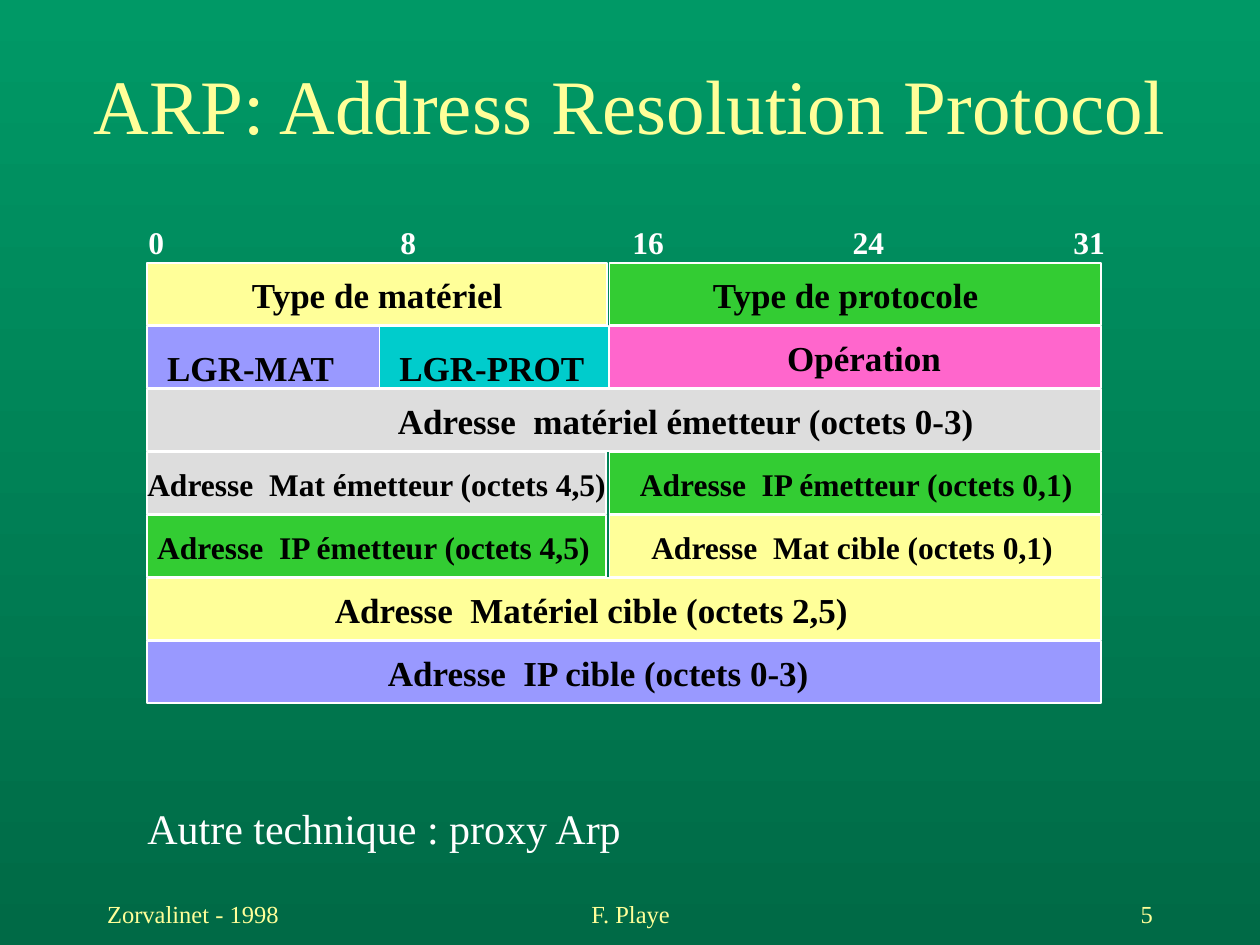
"""Build the ARP packet format slide."""
from pptx import Presentation
from pptx.dml.color import RGBColor
from pptx.enum.shapes import MSO_SHAPE
from pptx.enum.text import MSO_ANCHOR, MSO_AUTO_SIZE, PP_ALIGN
from pptx.util import Cm, Pt

FONT = "Times New Roman"
WHITE = RGBColor(0xFF, 0xFF, 0xFF)
BLACK = RGBColor(0x00, 0x00, 0x00)
YELLOW = RGBColor(0xFF, 0xFF, 0x99)
GREEN = RGBColor(0x33, 0xCC, 0x33)
PINK = RGBColor(0xFF, 0x66, 0xCC)
VIOLET = RGBColor(0x99, 0x99, 0xFF)
CYAN = RGBColor(0x00, 0xCC, 0xCC)
GREY = RGBColor(0xDD, 0xDD, 0xDD)
BG_TOP = RGBColor(0x00, 0x99, 0x66)
BG_BOTTOM = RGBColor(0x00, 0x6A, 0x46)

LEFT, MIDDLE = 2.97, 12.29
FULL, RIGHT_HALF = 19.23, 9.91
TOP, PITCH, HEIGHT = 5.31, 1.27, 1.24
LABEL_HEIGHT = {18: 1.02, 20: 1.09}

ROWS = [
    [(MIDDLE, RIGHT_HALF, GREEN, "Type de protocole", 20, 14.12, 5.94, 0.08),
     (LEFT, 9.27, YELLOW, "Type de matériel", 20, 4.83, 5.61, 0.08)],
    [(MIDDLE, RIGHT_HALF, PINK, "Opération", 20, 15.62, 4.67, 0.08),
     (LEFT, 4.83, VIOLET, "LGR-MAT", 20, 3.12, 4.67, 0.28),
     (7.65, 4.62, CYAN, "LGR-PROT", 20, 7.8, 4.67, 0.28)],
    [(LEFT, FULL, GREY, "Adresse  matériel émetteur (octets 0-3)", 20, 7.77, 12.14, 0.08)],
    [(MIDDLE, RIGHT_HALF, GREEN, "Adresse  IP émetteur (octets 0,1)", 18, 12.65, 9.3, 0.13),
     (LEFT, 9.25, GREY, "Adresse  Mat émetteur (octets 4,5)", 18, 2.72, 9.78, 0.13)],
    [(MIDDLE, RIGHT_HALF, YELLOW, "Adresse  Mat cible (octets 0,1)", 18, 12.88, 8.64, 0.13),
     (LEFT, 9.25, GREEN, "Adresse  IP émetteur (octets 4,5)", 18, 2.92, 9.3, 0.13)],
    [(LEFT, FULL, YELLOW, "Adresse  Matériel cible (octets 2,5)", 20, 6.5, 10.87, 0.08)],
    [(LEFT, FULL, VIOLET, "Adresse  IP cible (octets 0-3)", 20, 7.57, 9.04, 0.08)],
]
BITS = [("0", 2.74, 0.84), ("8", 7.82, 0.84), ("16", 12.5, 1.14),
        ("24", 16.94, 1.14), ("31", 21.39, 1.14)]
FOOTERS = [("Zorvalinet - 1998", 1.91, 5.28, PP_ALIGN.LEFT),
           ("F. Playe", 8.69, 8.05, PP_ALIGN.CENTER),
           ("5", 18.21, 5.28, PP_ALIGN.RIGHT)]


def set_background(s):
    """Fill the slide with a vertical green gradient."""
    fill = s.background.fill
    fill.gradient()
    fill.gradient_angle = 270
    for stop, position, color in zip(fill.gradient_stops, (0, 1), (BG_TOP, BG_BOTTOM)):
        stop.position = position
        stop.color.rgb = color


def write(tf, text, size, color, bold=False, align=PP_ALIGN.LEFT):
    """Set the text of a frame and format its run."""
    tf.text = text
    p = tf.paragraphs[0]
    p.alignment = align
    font = p.runs[0].font
    font.name, font.size, font.bold = FONT, Pt(size), bold
    font.color.rgb = color


def add_title(s, text):
    """Place and format the title placeholder."""
    title = s.shapes.title
    title.left, title.top, title.width, title.height = Cm(0), Cm(1.22), Cm(25.4), Cm(1.75)
    tf = title.text_frame
    tf.vertical_anchor = MSO_ANCHOR.MIDDLE
    tf.auto_size = MSO_AUTO_SIZE.NONE
    write(tf, text, 44, YELLOW, align=PP_ALIGN.CENTER)


def add_text(s, text, left, top, width, height, size, color, wrap=False, **style):
    """Add a text box and return its frame."""
    tf = s.shapes.add_textbox(Cm(left), Cm(top), Cm(width), Cm(height)).text_frame
    tf.word_wrap = wrap
    write(tf, text, size, color, **style)
    return tf


def add_field(s, row, left, width, fill, text, size, label_left, label_width, drop):
    """Add one packet field with its label."""
    top = TOP + row * PITCH
    sp = s.shapes.add_shape(MSO_SHAPE.RECTANGLE, Cm(left), Cm(top), Cm(width), Cm(HEIGHT))
    sp.shadow.inherit = False
    sp.fill.solid()
    sp.fill.fore_color.rgb = fill
    sp.line.color.rgb = WHITE
    sp.line.width = Pt(1)
    add_text(s, text, label_left, top + drop, label_width, LABEL_HEIGHT[size],
             size, BLACK, wrap=" " not in text, bold=True)


def add_footer(s, text, left, width, align):
    """Add one footer item."""
    tf = add_text(s, text, left, 17.78, width, 1.27, 14, YELLOW, wrap=True, align=align)
    tf.vertical_anchor = MSO_ANCHOR.MIDDLE


def main():
    """Build and save the slide."""
    prs = Presentation()
    prs.slide_width, prs.slide_height = Cm(25.4), Cm(19.05)
    s = prs.slides.add_slide(prs.slide_layouts[5])
    set_background(s)
    add_title(s, "ARP: Address Resolution Protocol")
    for text, left, width in BITS:
        add_text(s, text, left, 4.37, width, 1.02, 18, WHITE, bold=True)
    for row, fields in enumerate(ROWS):
        for field in fields:
            add_field(s, row, *field)
    add_text(s, "Autre technique : proxy Arp", 2.72, 16.05, 10.11, 1.27, 24, WHITE)
    for footer in FOOTERS:
        add_footer(s, *footer)
    prs.save("out.pptx")


if __name__ == "__main__":
    main()
